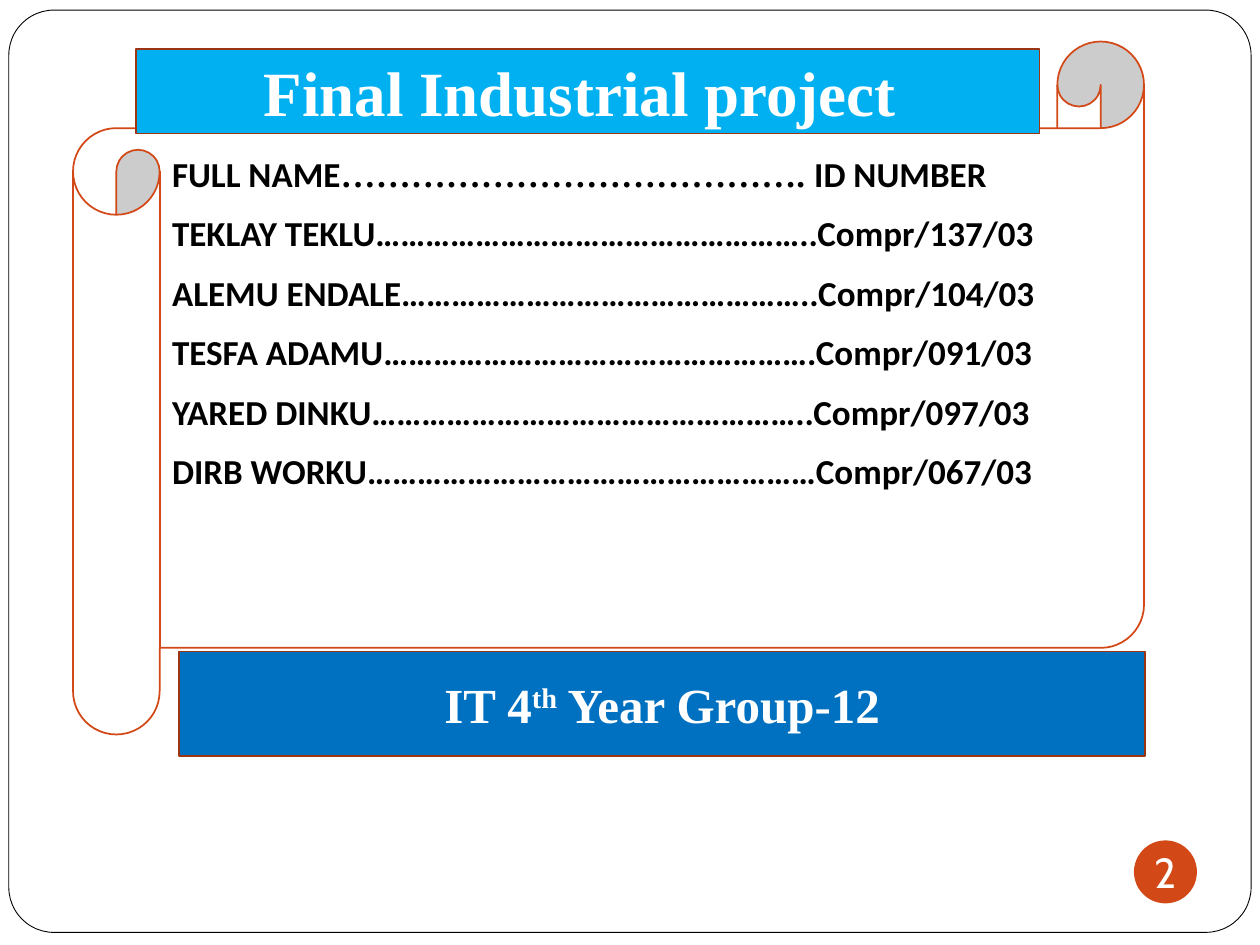
from dataclasses import dataclass

from pptx import Presentation
from pptx.dml.color import RGBColor
from pptx.enum.shapes import MSO_SHAPE
from pptx.enum.text import MSO_ANCHOR, MSO_AUTO_SIZE, PP_ALIGN
from pptx.util import Inches, Pt

# Content: each run is (text, font role)
TITLE = "Final Industrial project "
HEADING = [
    ("FULL NAME", "body"),
    ("…………………………………. ", "display"),
    ("ID NUMBER", "body"),
]
MEMBERS = [
    "TEKLAY TEKLU……………………………………………..Compr/137/03",
    "ALEMU ENDALE…………………………………………..Compr/104/03",
    "TESFA ADAMU…………………………………………….Compr/091/03",
    "YARED DINKU……………………………………………..Compr/097/03",
    "DIRB WORKU………………………………………………Compr/067/03",
]
GROUP = ["IT 4", "th", " Year Group-12"]
PAGE_NUMBER = "2"


@dataclass(frozen=True)
class Theme:
    white: str = "FFFFFF"
    black: str = "000000"
    accent: str = "D34817"
    banner_line: str = "9C3511"
    title_fill: str = "00B0F0"
    group_fill: str = "0070C0"
    display: str = "Times New Roman"
    body: str = "Calibri"
    number: str = "Cabin"
    title_size: int = 36
    group_size: int = 28
    body_size: int = 20
    number_size: int = 24


THEME = Theme()


def paint(shape, fill, line=None, width=1):
    shape.fill.solid()
    shape.fill.fore_color.rgb = RGBColor.from_string(fill)
    if line:
        shape.line.color.rgb = RGBColor.from_string(line)
        shape.line.width = Pt(width)
    else:
        shape.line.fill.background()


def add_panel(slide, kind, box, fill, line=None, width=1):
    panel = slide.shapes.add_shape(kind, *map(Inches, box))
    panel.shadow.inherit = False
    paint(panel, fill, line, width)
    return panel


def style(paragraph, face, size, color, bold=True, align=PP_ALIGN.CENTER):
    paragraph.alignment = align
    font = paragraph.font
    font.name, font.size, font.bold = face, Pt(size), bold
    font.color.rgb = RGBColor.from_string(color)


def main():
    prs = Presentation()
    prs.slide_width, prs.slide_height = Inches(10), Inches(7.5)
    slide = prs.slides.add_slide(prs.slide_layouts[5])

    # Page frame
    frame = add_panel(slide, MSO_SHAPE.ROUNDED_RECTANGLE, (0.07, 0.08, 9.86, 7.32),
                      THEME.white, THEME.black, 0.5)
    frame.adjustments[0] = 0.049

    # Scroll with the member list
    scroll = add_panel(slide, MSO_SHAPE.HORIZONTAL_SCROLL, (0.58, 0.33, 8.5, 5.5),
                       THEME.white, THEME.accent)
    scroll.adjustments[0] = 0.125
    roster = scroll.text_frame
    roster.word_wrap = True
    roster.vertical_anchor = MSO_ANCHOR.TOP
    roster.margin_top = Inches(0.19)
    rows = [HEADING] + [[(member, "body")] for member in MEMBERS]
    for index, row in enumerate(rows):
        entry = roster.add_paragraph() if index else roster.paragraphs[0]
        style(entry, THEME.body, THEME.body_size, THEME.black, align=PP_ALIGN.LEFT)
        entry.space_after = Pt(10)
        for text, role in row:
            run = entry.add_run()
            run.text = text
            if role != "body":
                run.font.name = getattr(THEME, role)

    # Page number badge
    badge = add_panel(slide, MSO_SHAPE.OVAL, (9, 6.67, 0.5, 0.5), THEME.accent)
    number = badge.text_frame
    number.word_wrap = False
    number.margin_left = number.margin_right = 0
    number.margin_top = number.margin_bottom = 0
    number.vertical_anchor = MSO_ANCHOR.MIDDLE
    number.text = PAGE_NUMBER
    style(number.paragraphs[0], THEME.number, THEME.number_size, THEME.white, bold=False)

    # Title banner, brought in front of the scroll
    title = slide.shapes.title
    title.left, title.top, title.width, title.height = map(Inches, (1.08, 0.39, 7.17, 0.67))
    paint(title, THEME.title_fill, THEME.banner_line)
    title.text_frame.text = TITLE
    title.text_frame.auto_size = MSO_AUTO_SIZE.NONE
    title.text_frame.vertical_anchor = MSO_ANCHOR.MIDDLE
    style(title.text_frame.paragraphs[0], THEME.display, THEME.title_size, THEME.white)
    badge.element.addnext(title.element)

    # Group banner
    banner = add_panel(slide, MSO_SHAPE.FLOWCHART_PROCESS, (1.42, 5.17, 7.67, 0.83),
                       THEME.group_fill, THEME.banner_line)
    banner.text_frame.vertical_anchor = MSO_ANCHOR.MIDDLE
    group = banner.text_frame.paragraphs[0]
    style(group, THEME.display, THEME.group_size, THEME.white)
    for text in GROUP:
        run = group.add_run()
        run.text = text
        if text == "th":
            run.font._element.set("baseline", "30000")

    prs.save("out.pptx")


if __name__ == "__main__":
    main()
